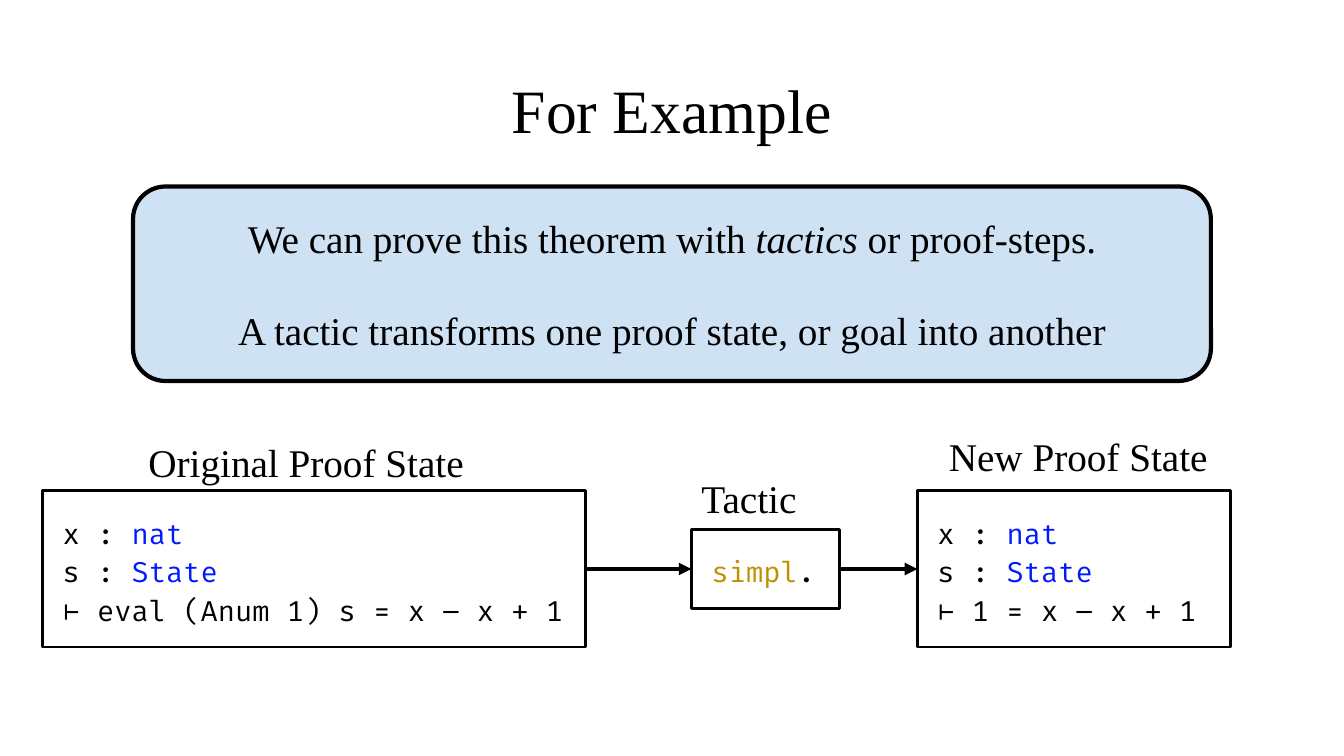
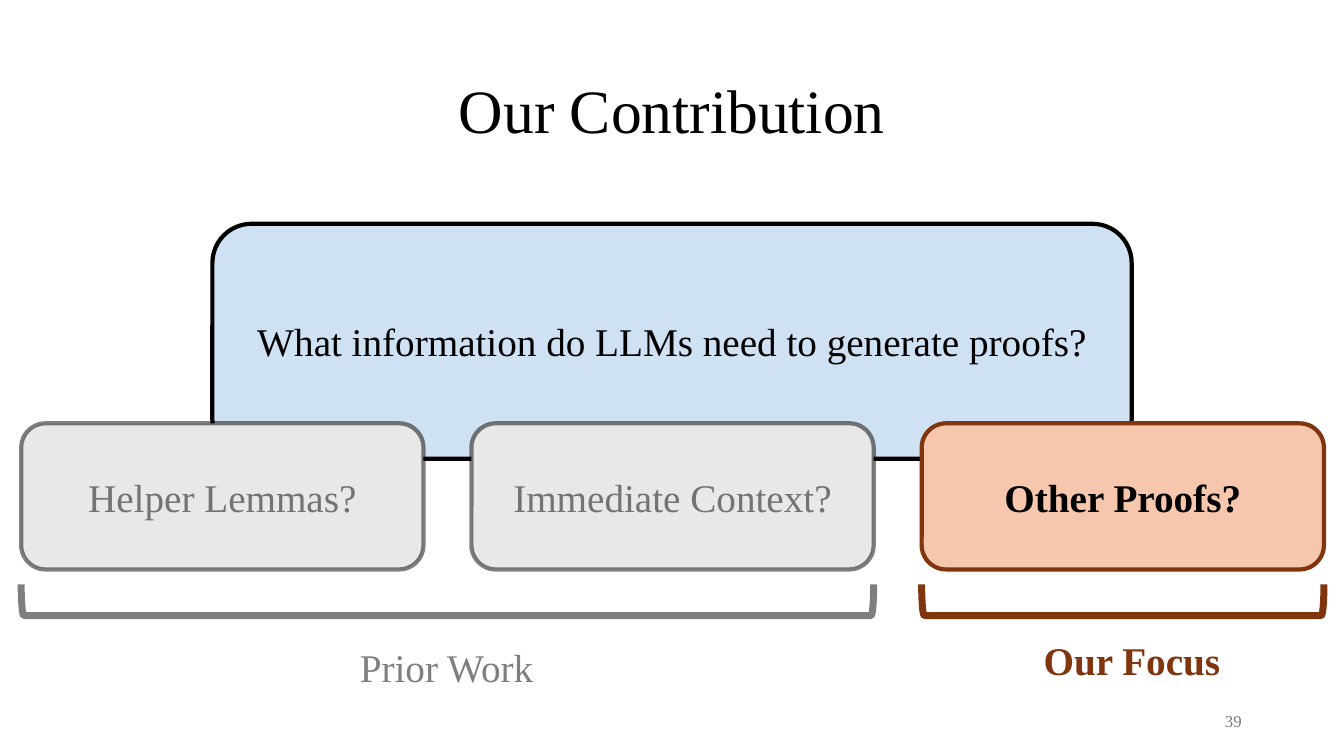
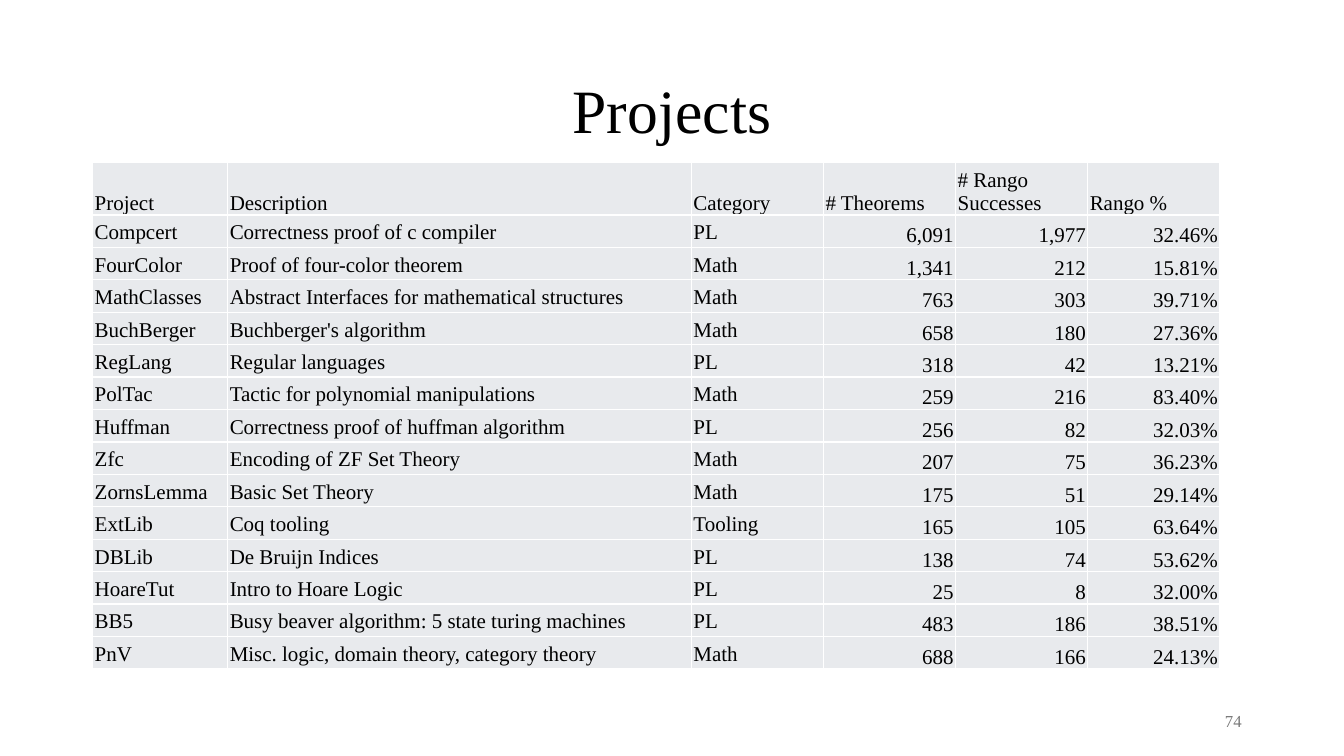
from collections import namedtuple

from pptx import Presentation
from pptx.dml.color import RGBColor
from pptx.enum.shapes import MSO_CONNECTOR, MSO_SHAPE as Preset
from pptx.enum.text import MSO_ANCHOR as Anchor, PP_ALIGN as Align
from pptx.oxml import parse_xml
from pptx.oxml.ns import nsdecls, qn
from pptx.oxml.xmlchemy import OxmlElement
from pptx.util import Inches, Pt

BLACK, WHITE = "000000", "FFFFFF"
SKY, MIST, PEACH, TABLE_GRAY = "CFE2F3", "E8E8E8", "F6C6AD", "E8EAED"
RUST, KEYWORD, TACTIC, PAGE_GRAY = "80350E", "0019FF", "BF9001", "797979"
SERIF, MONO = "Times New Roman", "Fira Code"

Run = namedtuple("Run", "text color bold italic", defaults=(BLACK, False, False))

presentation = Presentation()
presentation.slide_width = Inches(13.33)
presentation.slide_height = Inches(7.5)
COLUMN = presentation.slide_width / 100
ROW = presentation.slide_height / 100


def paint(fill, color):
    fill.solid()
    fill.fore_color.rgb = RGBColor.from_string(color)


def add_box(slide, preset, area, paragraphs=(), fill=None, line=BLACK, weight=3,
            font=SERIF, size=28, align=Align.CENTER, anchor=Anchor.MIDDLE,
            inset=0.1, spacing=None, gap=0, faded=False):
    left, top, width, height = area
    place = [int(value) for value in
             (left * COLUMN, top * ROW, width * COLUMN, height * ROW)]
    if preset is None:
        shape = slide.shapes.add_textbox(*place)
    else:
        shape = slide.shapes.add_shape(preset, *place)
        shape.shadow.inherit = False
        if fill:
            paint(shape.fill, fill)
        else:
            shape.fill.background()
        paint(shape.line.fill, line)
        shape.line.width = Pt(weight)
    frame = shape.text_frame
    frame.word_wrap = True
    frame.vertical_anchor = anchor
    frame.margin_left = frame.margin_right = Inches(inset)
    frame.margin_top = frame.margin_bottom = Inches(inset if preset else 0.05)
    for index, runs in enumerate(paragraphs):
        paragraph = frame.add_paragraph() if index else frame.paragraphs[0]
        paragraph.alignment = align
        if spacing:
            paragraph.line_spacing = spacing
        if index and gap:
            paragraph.space_before = Pt(gap)
        for piece in runs:
            run = paragraph.add_run()
            run.text = piece.text
            run.font.size = Pt(size)
            run.font.name = font
            run.font.bold = piece.bold
            run.font.italic = piece.italic
            paint(run.font.fill, piece.color)
    if faded:
        for color in shape.element.iter(qn("a:srgbClr")):
            if color.get("val") == BLACK:
                alpha = OxmlElement("a:alpha")
                alpha.set("val", "50000")
                color.append(alpha)
    return shape


slides = []
for title, page in (("For Example", ""), ("Our Contribution", "39"), ("Projects", "74")):
    slide = presentation.slides.add_slide(presentation.slide_layouts[6])
    add_box(slide, None, (6.88, 5.33, 86.25, 19.33), [[Run(title)]], size=44, spacing=0.9)
    if page:
        add_box(slide, None, (70.63, 92.67, 22.5, 5.33), [[Run(page, PAGE_GRAY)]],
                size=12, align=Align.RIGHT)
    slides.append(slide)
example, contribution, projects = slides

add_box(example, Preset.ROUNDED_RECTANGLE, (9.9, 24.67, 80.2, 25.73), [
    [Run("We can prove this theorem with "), Run("tactics", italic=True),
     Run(" or proof-steps.")],
    [Run("A tactic transforms one proof state, or goal into another")],
], fill=SKY, gap=32)

declarations = [[Run("x : "), Run("nat", KEYWORD)], [Run("s :"), Run(" State", KEYWORD)]]
code_boxes = []
for area, lines in (
    ((3.15, 64.94, 40.43, 20.66), declarations + [[Run("⊢ eval (Anum 1) s = x – x + 1")]]),
    ((51.45, 70.07, 11, 10.4), [[Run("simpl", TACTIC), Run(".")]]),
    ((68.25, 64.94, 23.33, 20.66), declarations + [[Run("⊢ 1 = x – x + 1")]]),
):
    code_boxes.append(add_box(example, Preset.RECTANGLE, area, lines, weight=2, font=MONO,
                              size=20, align=Align.LEFT, anchor=Anchor.TOP,
                              inset=0.2, spacing=1.15))

for label, left, top, width in (
    ("Original Proof State", 9.83, 57.33, 25.88),
    ("New Proof State", 67.28, 56.53, 25.88),
    ("Tactic", 50.25, 62.13, 10.95),
):
    add_box(example, None, (left, top, width, 7.6), [[Run(label)]], anchor=Anchor.TOP)

for source, target in zip(code_boxes, code_boxes[1:]):
    arrow = example.shapes.add_connector(MSO_CONNECTOR.STRAIGHT, 0, 0, 0, 0)
    arrow.begin_connect(source, 3)
    arrow.end_connect(target, 1)
    paint(arrow.line.fill, BLACK)
    arrow.line.width = Pt(3)
    arrow_end = OxmlElement("a:tailEnd")
    arrow_end.set("type", "triangle")
    arrow.get_or_add_ln().append(arrow_end)
    arrow.element.spPr.append(OxmlElement("a:effectLst"))

add_box(contribution, Preset.ROUNDED_RECTANGLE, (15.8, 29.6, 68.4, 31.07),
        [[Run("What information do LLMs need to generate proofs?")]], fill=SKY)

CARD_LEFT, CARD_WIDTH, CARD_PITCH = 1.58, 29.93, 33.5
for index, (label, fill, line, focus) in enumerate((
    ("Helper Lemmas?", MIST, BLACK, False),
    ("Immediate Context?", MIST, BLACK, False),
    ("Other Proofs?", PEACH, RUST, True),
)):
    add_box(contribution, Preset.ROUNDED_RECTANGLE,
            (CARD_LEFT + index * CARD_PITCH, 56, CARD_WIDTH, 19.33),
            [[Run(label, bold=focus)]], fill=fill, line=line, faded=not focus)

BRACKET_MIDDLE, BRACKET_DEPTH = 79.35, 4.13
for first, last, label, label_left, label_top, color, focus in (
    (0, 1, "Prior Work", 22.95, 84.4, BLACK, False),
    (2, 2, "Our Focus", 73.95, 83.47, RUST, True),
):
    span = (last - first) * CARD_PITCH + CARD_WIDTH
    center = CARD_LEFT + first * CARD_PITCH + span / 2
    width = BRACKET_DEPTH * ROW / COLUMN
    height = span * COLUMN / ROW
    bracket = add_box(contribution, Preset.LEFT_BRACKET,
                      (center - width / 2, BRACKET_MIDDLE - height / 2, width, height),
                      line=color, weight=5, faded=not focus)
    bracket.rotation = 270
    add_box(contribution, None, (label_left, label_top, 20.55, 7.6),
            [[Run(label, color, focus)]], anchor=Anchor.TOP, faded=not focus)

records = (
    ("Project", "Description", "Category", "# Theorems", "# Rango Successes", "Rango %"),
    ("Compcert", "Correctness proof of c compiler", "PL", "6,091", "1,977", "32.46%"),
    ("FourColor", "Proof of four-color theorem", "Math", "1,341", "212", "15.81%"),
    ("MathClasses", "Abstract Interfaces for mathematical structures", "Math",
     "763", "303", "39.71%"),
    ("BuchBerger", "Buchberger's algorithm", "Math", "658", "180", "27.36%"),
    ("RegLang", "Regular languages", "PL", "318", "42", "13.21%"),
    ("PolTac", "Tactic for polynomial manipulations", "Math", "259", "216", "83.40%"),
    ("Huffman", "Correctness proof of huffman algorithm", "PL", "256", "82", "32.03%"),
    ("Zfc", "Encoding of ZF Set Theory", "Math", "207", "75", "36.23%"),
    ("ZornsLemma", "Basic Set Theory", "Math", "175", "51", "29.14%"),
    ("ExtLib", "Coq tooling", "Tooling", "165", "105", "63.64%"),
    ("DBLib", "De Bruijn Indices", "PL", "138", "74", "53.62%"),
    ("HoareTut", "Intro to Hoare Logic", "PL", "25", "8", "32.00%"),
    ("BB5", "Busy beaver algorithm: 5 state turing machines", "PL", "483", "186", "38.51%"),
    ("PnV", "Misc. logic, domain theory, category theory", "Math", "688", "166", "24.13%"),
)
column_shares = [10.05, 34.5] + [9.83] * 4
row_shares = [6.2] + [4.29] * (len(records) - 1)
table = projects.shapes.add_table(
    len(records), len(column_shares), int(6.9 * COLUMN), int(21.5 * ROW),
    int(sum(column_shares) * COLUMN), int(sum(row_shares) * ROW)).table
table.first_row = table.horz_banding = False
for column, share in zip(table.columns, column_shares):
    column.width = int(share * COLUMN)
for row, share in zip(table.rows, row_shares):
    row.height = int(share * ROW)

for row_index, record in enumerate(records):
    for column_index, text in enumerate(record):
        is_number = row_index > 0 and column_index > 2
        is_words = row_index > 0 and column_index < 3
        cell = table.cell(row_index, column_index)
        cell.vertical_anchor = Anchor.BOTTOM
        cell.margin_left = cell.margin_right = Inches(0.02)
        cell.margin_top = Inches(0.03 if is_words else 0.02)
        cell.margin_bottom = Inches(0.03 if is_words else 0)
        paragraph = cell.text_frame.paragraphs[0]
        paragraph.alignment = Align.RIGHT if is_number else Align.LEFT
        run = paragraph.add_run()
        run.text = text
        run.font.size = Pt(15)
        run.font.name = SERIF
        paint(run.font.fill, BLACK)
        properties = cell._tc.get_or_add_tcPr()
        for side in ("lnL", "lnR", "lnT", "lnB"):
            properties.append(parse_xml(
                f'<a:{side} {nsdecls("a")} w="{Pt(1)}"><a:solidFill>'
                f'<a:srgbClr val="{WHITE}"/></a:solidFill></a:{side}>'))
        paint(cell.fill, TABLE_GRAY)

presentation.save("out.pptx")
